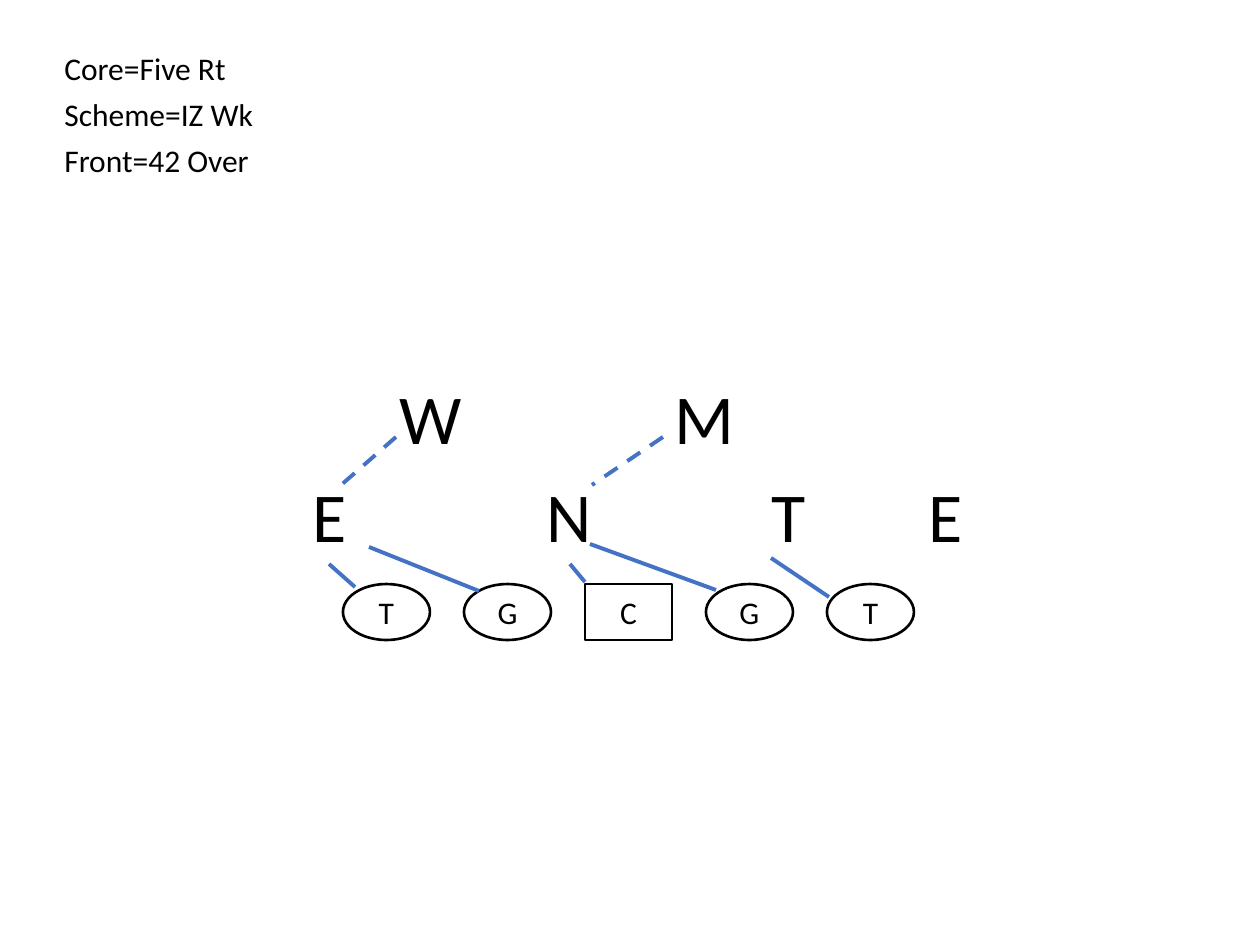
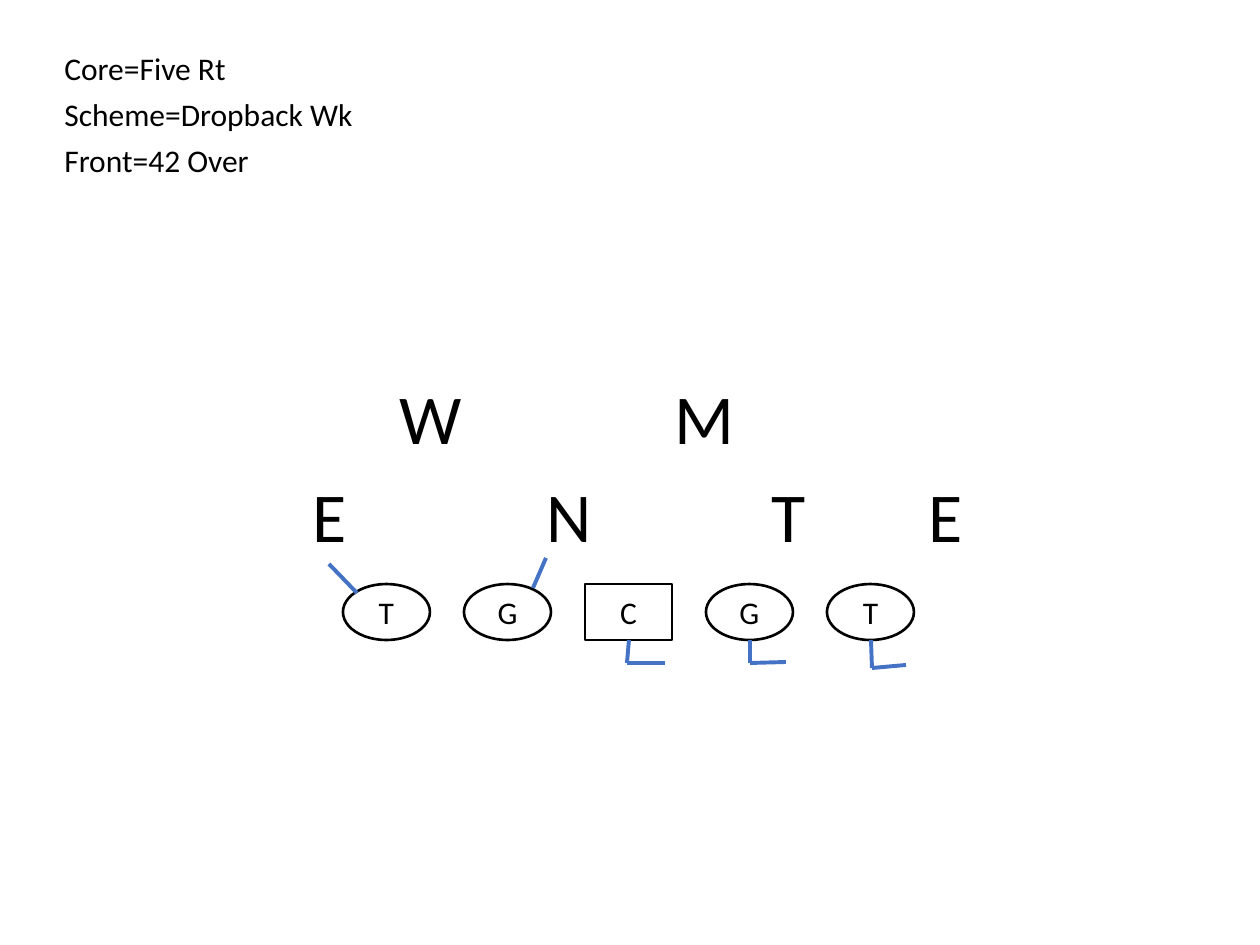
from lxml.etree import SubElement
from pptx import Presentation
from pptx.dml.color import RGBColor
from pptx.enum.dml import MSO_LINE
from pptx.enum.shapes import MSO_CONNECTOR, MSO_SHAPE
from pptx.enum.text import MSO_ANCHOR, MSO_AUTO_SIZE, PP_ALIGN
from pptx.oxml.ns import qn
from pptx.util import Inches, Pt

BLACK = RGBColor(0x00, 0x00, 0x00)
WHITE = RGBColor(0xFF, 0xFF, 0xFF)
BLOCK_BLUE = RGBColor(0x44, 0x72, 0xC4)
FONT = "Calibri"
PIXELS_PER_INCH = 126

# Offensive line, left to right
LINEMEN = "TGCGT"
LINE_LEFT, LINE_TOP, LINE_PITCH = 343, 584, 121
LINEMAN_SIZE = (87, 56)

# Defenders: letter, left, top, width
FRONT_TOP, BACKER_TOP = 466, 368
DEFENDERS = [
    ("N", 534, FRONT_TOP, 71),
    ("T", 759, FRONT_TOP, 60),
    ("E", 916, FRONT_TOP, 60),
    ("E", 300, FRONT_TOP, 60),
    ("W", 387, BACKER_TOP, 88),
    ("M", 662, BACKER_TOP, 88),
]

# Call lines in the top left corner
CALL_LEFT, CALL_TOP, CALL_PITCH = 52, 43, 46

# Each play: calls with their widths, blocks as point chains, combo reads
PLAYS = [
    {
        "calls": [("Core=Five Rt", 189), ("Scheme=IZ Wk", 215), ("Front=42 Over", 212)],
        "blocks": [
            [(329, 564), (355, 587)],
            [(369, 547), (479, 591)],
            [(570, 564), (585, 582)],
            [(590, 544), (716, 590)],
            [(771, 558), (829, 597)],
        ],
        "reads": [[(396, 437), (340, 486)], [(663, 437), (592, 485)]],
    },
    {
        "calls": [("Core=Five Rt", 189), ("Scheme=Dropback Wk", 318), ("Front=42 Over", 212)],
        "blocks": [
            [(357, 593), (329, 564)],
            [(546, 558), (533, 588)],
            [(629, 640), (627, 663), (665, 663)],
            [(750, 640), (750, 663), (786, 662)],
            [(871, 640), (872, 668), (906, 665)],
        ],
        "reads": [],
    },
]


def px(*lengths):
    """Turn pixel lengths into a list of EMU."""
    return [round(length * Inches(1) / PIXELS_PER_INCH) for length in lengths]


class PlayDiagram:
    """Draws football play elements on the current slide."""

    def __init__(self, deck):
        """Start a new blank slide."""
        self.shapes = deck.slides.add_slide(deck.slide_layouts[6]).shapes

    def letter_in(self, frame, text, size):
        """Put one line of styled text in a frame."""
        frame.text = text
        font = frame.paragraphs[0].runs[0].font
        font.name, font.size, font.color.rgb = FONT, Pt(size), BLACK

    def label(self, text, left, top, width, height, size):
        """Add an unwrapped text box."""
        frame = self.shapes.add_textbox(*px(left, top, width, height)).text_frame
        frame.word_wrap = False
        frame.auto_size = MSO_AUTO_SIZE.SHAPE_TO_FIT_TEXT
        self.letter_in(frame, text, size)

    def lineman(self, letter, left, top):
        """Add a lineman; the center is a rectangle, the others ellipses."""
        outline = MSO_SHAPE.RECTANGLE if letter == "C" else MSO_SHAPE.OVAL
        player = self.shapes.add_shape(outline, *px(left, top, *LINEMAN_SIZE))
        player.shadow.inherit = False
        player.fill.solid()
        player.fill.fore_color.rgb = WHITE
        player.line.color.rgb = BLACK
        player.line.width = Pt(1.5)
        self.letter_in(player.text_frame, letter, 18)
        player.text_frame.vertical_anchor = MSO_ANCHOR.MIDDLE
        player.text_frame.paragraphs[0].alignment = PP_ALIGN.CENTER

    def assignment(self, points, dashed=False):
        """Join the points with straight lines."""
        for start, end in zip(points, points[1:]):
            stroke = self.shapes.add_connector(MSO_CONNECTOR.STRAIGHT, *px(*start, *end))
            stroke.line.color.rgb = BLOCK_BLUE
            stroke.line.width = Pt(2.25)
            if dashed:
                stroke.line.dash_style = MSO_LINE.DASH
            SubElement(stroke._element.spPr, qn("a:effectLst"))

    def formation(self):
        """Add the offensive line and the defence."""
        for position, letter in enumerate(LINEMEN):
            self.lineman(letter, LINE_LEFT + position * LINE_PITCH, LINE_TOP)
        for letter, left, top, width in DEFENDERS:
            self.label(letter, left, top, width, 97, 40)


def main():
    """Build one slide for each play and save the deck."""
    deck = Presentation()
    deck.slide_width, deck.slide_height = Inches(10), Inches(7.5)
    for play in PLAYS:
        diagram = PlayDiagram(deck)
        for row, (call, width) in enumerate(play["calls"]):
            diagram.label(call, CALL_LEFT, CALL_TOP + row * CALL_PITCH, width, 50, 18)
        diagram.formation()
        for block in play["blocks"]:
            diagram.assignment(block)
        for read in play["reads"]:
            diagram.assignment(read, dashed=True)
    deck.save("out.pptx")


main()
